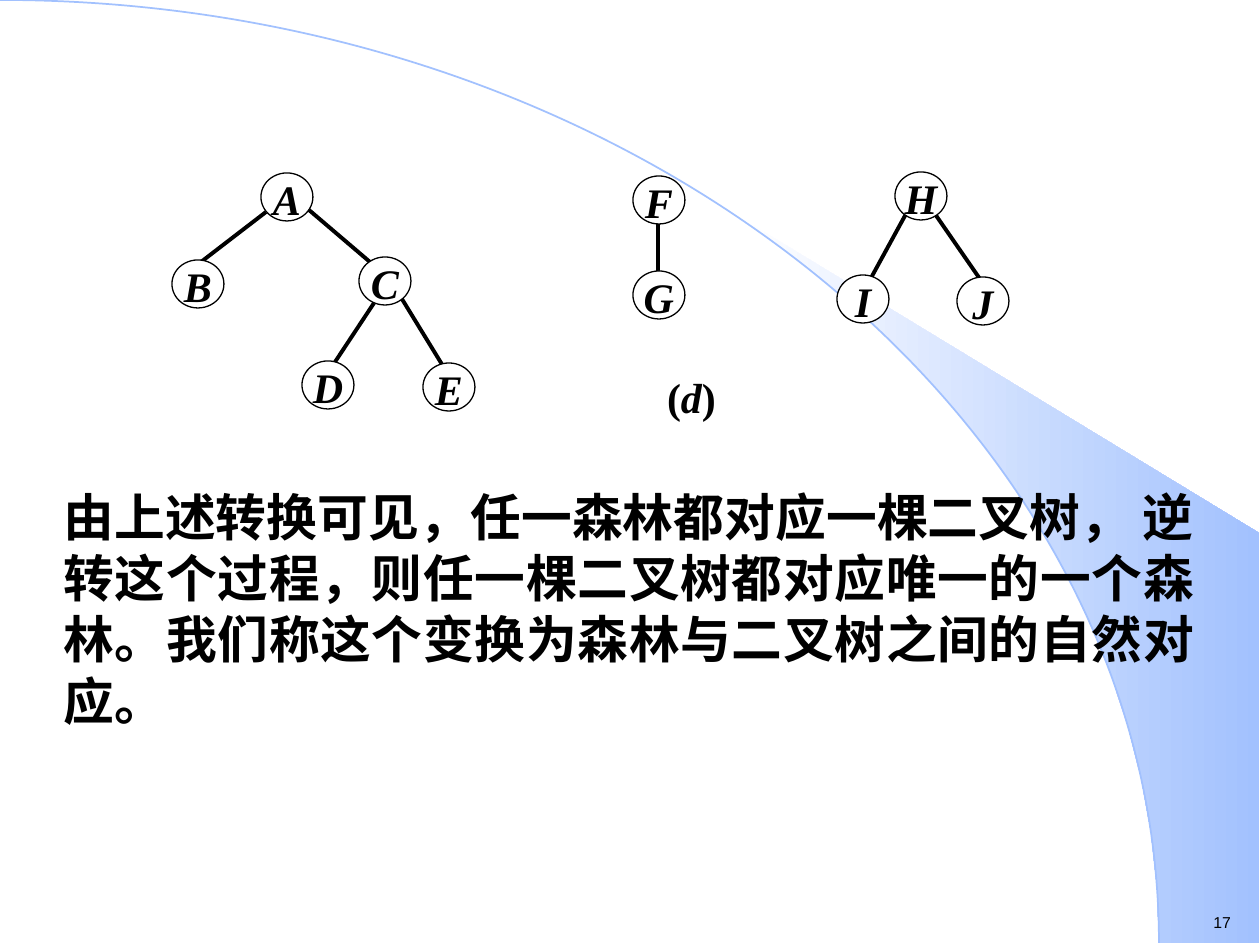
import math

from lxml import etree
from pptx import Presentation
from pptx import util as u
from pptx.dml.color import RGBColor
from pptx.enum import shapes, text
from pptx.oxml.ns import qn

SCALE = 914400 / 126
BLACK = RGBColor(0x00, 0x00, 0x00)
WHITE = RGBColor(0xFF, 0xFF, 0xFF)
BLUE = RGBColor(0xA2, 0xC1, 0xFE)
SERIF = "Times New Roman"
RIGHT, BOTTOM = 1259, 943
ARC_WIDTH, ARC_HEIGHT = 1159, 943
RIM_STEPS = 15
NODE_WIDTH, NODE_HEIGHT = 52, 48

# Left and top of each tree node
NODES = {
    "A": (261, 173), "B": (172, 260), "C": (359, 257), "D": (302, 361),
    "E": (423, 363), "F": (633, 176), "G": (633, 271), "H": (895, 172),
    "I": (837, 275), "J": (957, 277),
}
# Start and end point of each branch
BRANCHES = [
    (266, 212, 201, 262), (309, 210, 370, 262),
    (374, 303, 335, 362), (402, 299, 443, 366),
    (658, 224, 658, 272),
    (906, 214, 871, 278), (935, 214, 980, 279),
]
STATEMENT = ("由上述转换可见，任一森林都对应一棵二叉树， 逆转这个过程，"
             "则任一棵二叉树都对应唯一的一个森林。"
             "我们称这个变换为森林与二叉树之间的自然对应。")


def px(length):
    return u.Emu(round(length * SCALE))


def rim_point(degrees):
    angle = math.radians(degrees)
    return (ARC_WIDTH * math.sin(angle), ARC_HEIGHT * (1 - math.cos(angle)))


def add_outline(page, points, close):
    start, *others = [(px(x), px(y)) for x, y in points]
    builder = page.shapes.build_freeform(*start)
    builder.add_line_segments(others, close=close)
    outline = builder.convert_to_shape()
    outline.shadow.inherit = False
    return outline


def bend(outline, controls):
    """Turn the outline's only segment into a cubic curve."""
    segment = outline._element.find(".//" + qn("a:lnTo"))
    segment.tag = qn("a:cubicBezTo")
    for place, (x, y) in enumerate(controls):
        point = etree.Element(qn("a:pt"), x=str(px(x)), y=str(px(y)))
        segment.insert(place, point)


def add_run(para, wording, size, font=SERIF, bold=True, italic=False):
    span = para.add_run()
    span.text = wording
    span.font.size = u.Pt(size)
    span.font.name = font
    span.font.bold = bold
    span.font.italic = italic
    span.font.color.rgb = BLACK


def add_label_shape(page, kind, left, top, width, height, spacing):
    """Add a white shape and return it with its centred, hanging paragraph."""
    shape = page.shapes.add_shape(kind, px(left), px(top), px(width), px(height))
    shape.shadow.inherit = False
    shape.fill.solid()
    shape.fill.fore_color.rgb = WHITE
    shape.line.fill.background()
    frame = shape.text_frame
    frame.margin_left = frame.margin_right = 0
    frame.margin_top = frame.margin_bottom = 0
    frame.vertical_anchor = text.MSO_ANCHOR.TOP
    para = frame.paragraphs[0]
    para.alignment = text.PP_ALIGN.CENTER
    para.line_spacing = spacing
    properties = para._p.get_or_add_pPr()
    properties.set("marL", str(px(48)))
    properties.set("indent", str(-px(48)))
    return shape, para


def add_node(page, letter, left, top):
    node, para = add_label_shape(page, shapes.MSO_SHAPE.OVAL, left, top,
                                 NODE_WIDTH, NODE_HEIGHT, u.Pt(25))
    node.line.color.rgb = BLACK
    node.line.width = u.Pt(0.75)
    add_run(para, letter, 24, italic=True)


def add_branch(page, *ends):
    branch = page.shapes.add_connector(shapes.MSO_CONNECTOR.STRAIGHT,
                                       *[px(end) for end in ends])
    branch.line.color.rgb = BLACK
    branch.line.width = u.Pt(2.25)
    etree.SubElement(branch._element.spPr, qn("a:effectLst"))


def add_text(page, left, top, width, height, wrap):
    box = page.shapes.add_textbox(px(left), px(top), px(width), px(height))
    box.text_frame.word_wrap = wrap
    return box.text_frame.paragraphs[0]


def add_backdrop(page):
    # Gradient wedge between the arc and the right edge
    first = math.degrees(math.asin(742 / ARC_WIDTH))
    step = (90 - first) / RIM_STEPS
    rim = [rim_point(first + step * index) for index in range(RIM_STEPS + 1)]
    wedge = add_outline(page, rim + [(RIGHT, BOTTOM), (RIGHT, 533)], True)
    wedge.line.fill.background()
    wedge.fill.gradient()
    wedge.fill.gradient_angle = 0
    for stop, color, position in zip(wedge.fill.gradient_stops, (WHITE, BLUE), (0, 1)):
        stop.color.rgb = color
        stop.position = position

    # Quarter-ellipse arc
    arc = add_outline(page, [(0, 0), (ARC_WIDTH, ARC_HEIGHT)], False)
    bend(arc, [(ARC_WIDTH * 0.55, 0), (ARC_WIDTH, ARC_HEIGHT * 0.45)])
    arc.fill.background()
    arc.line.color.rgb = BLUE
    arc.line.width = u.Pt(1)


def main():
    deck = Presentation()
    deck.slide_width, deck.slide_height = u.Inches(10), u.Inches(7.5)
    page = deck.slides.add_slide(deck.slide_layouts[6])
    add_backdrop(page)

    # Slide number
    number = add_text(page, 1201, 907, 44, 32, False)
    add_run(number, "17", 9, font="Arial", bold=False)

    # Figure caption
    caption = add_label_shape(page, shapes.MSO_SHAPE.RECTANGLE,
                              640, 385, 103, 38, 0.72)[1]
    for wording in ("(", "d", ")"):
        add_run(caption, wording, 24, italic=wording == "d")

    # Forest of three trees
    for branch in BRANCHES:
        add_branch(page, *branch)
    for letter, (left, top) in NODES.items():
        add_node(page, letter, left, top)

    # Concluding statement
    statement = add_text(page, 51, 479, 1156, 258, True)
    statement.alignment = text.PP_ALIGN.JUSTIFY
    statement.line_spacing = u.Pt(35)
    add_run(statement, STATEMENT, 29)

    deck.save("out.pptx")


if __name__ == "__main__":
    main()
